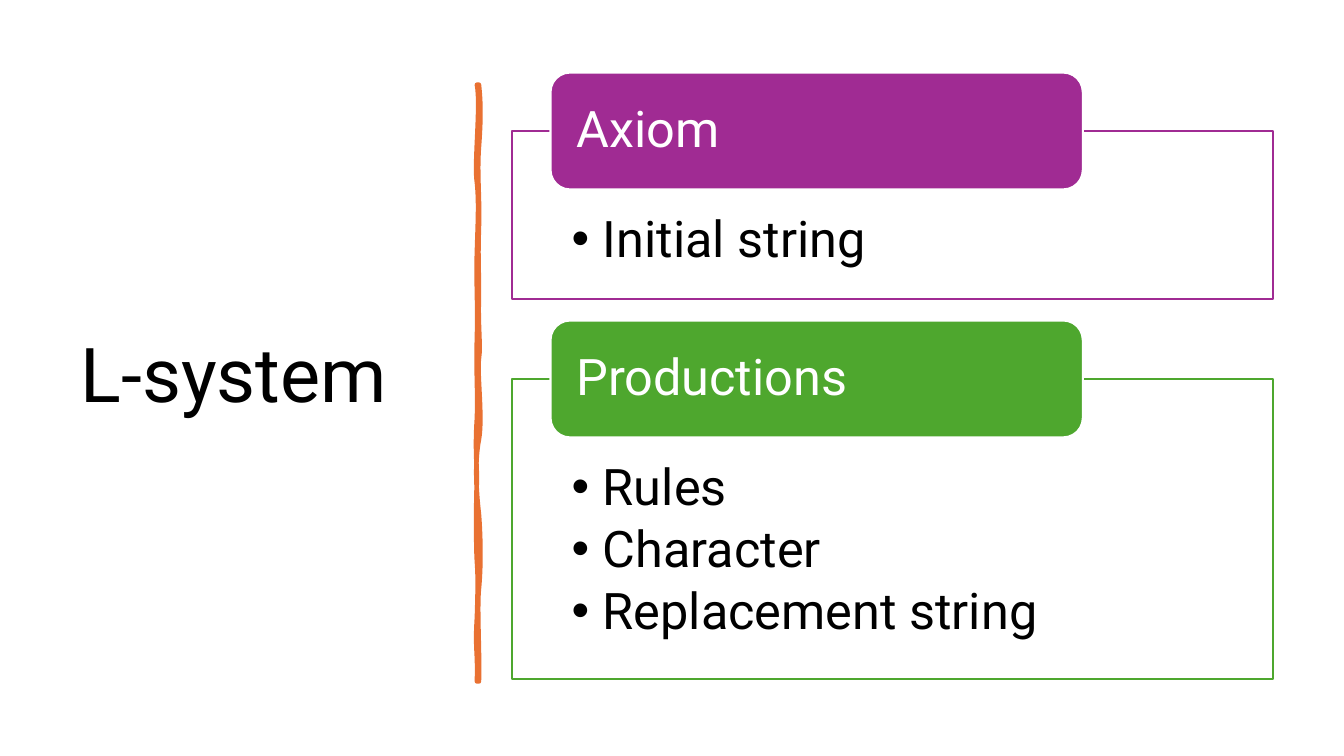
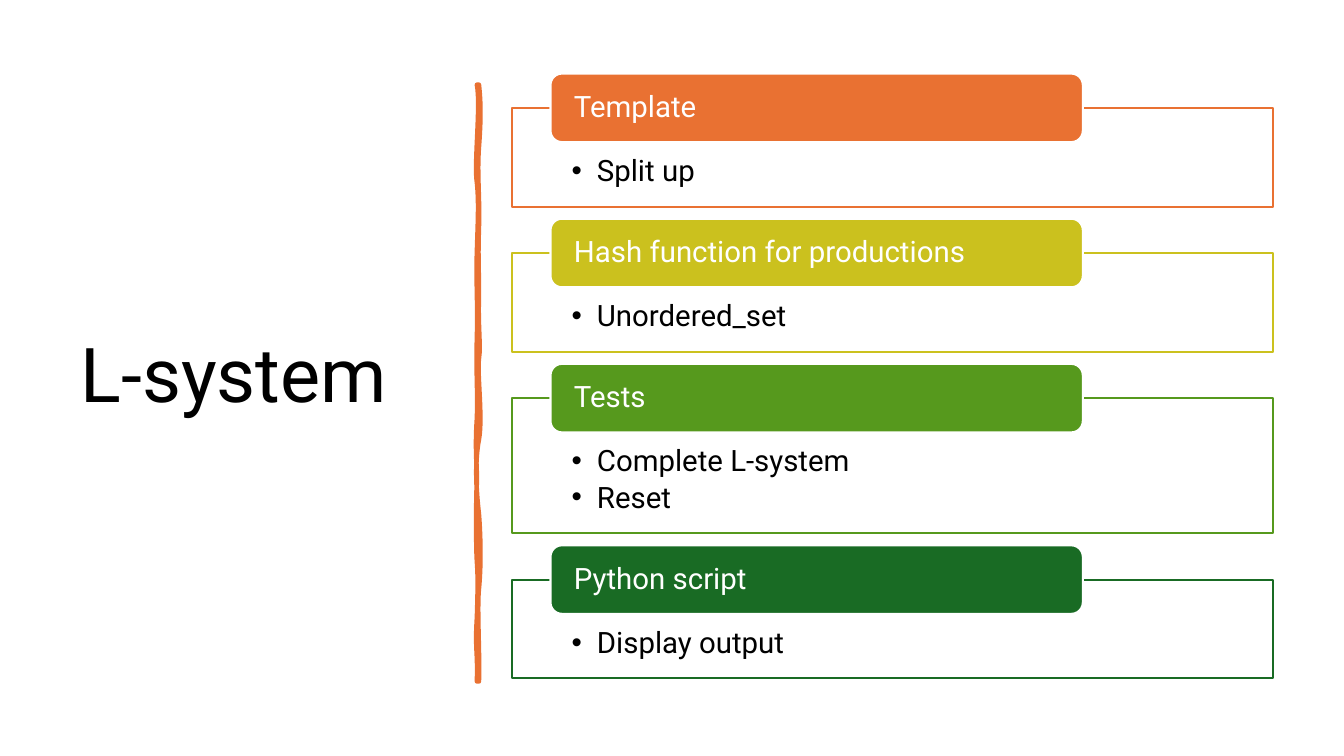
from lxml.etree import SubElement
from pptx import Presentation
from pptx.dml.color import RGBColor
from pptx.enum.shapes import MSO_SHAPE as Shape
from pptx.enum.text import MSO_ANCHOR as Anchor, PP_ALIGN as Align
from pptx.oxml.ns import qn
from pptx.util import Emu, Pt

# Content: each section is (heading, colour, frame height, bullets)
TITLE = "L-system"
SLIDES = [
    dict(size=36, top=72, tab_height=116, gap=21, body_inset=82, indent=31,
         sections=[
             ("Axiom", "A02B93", 167, ["Initial string"]),
             ("Productions", "4EA72E", 298,
              ["Rules", "Character", "Replacement string"]),
         ]),
    dict(size=21, top=73, tab_height=68, gap=12, body_inset=48, indent=25,
         sections=[
             ("Template", "E97132", 98, ["Split up"]),
             ("Hash function for productions", "CBC11E", 98, ["Unordered_set"]),
             ("Tests", "56991D", 134, ["Complete L-system", "Reset"]),
             ("Python script", "196B24", 98, ["Display output"]),
         ]),
]

# Shared style
FONT, BLACK, WHITE, ACCENT = "Roboto", "000000", "FFFFFF", "E97132"
PX = 9144  # 100 px to the inch
TITLE_AREA = (70, 70, 374, 610)
FRAME_LEFT, FRAME_WIDTH = 508, 755
TAB_LEFT, TAB_WIDTH = 546, 528

# Hand-drawn divider: start point, then Bezier curves (two controls, end)
DIVIDER_START = (475, 84)
DIVIDER_STROKE = [
    (477, 102, 477, 119, 475, 146), (473, 173, 476, 195, 475, 226),
    (474, 257, 475, 262, 475, 294), (474, 325, 477, 342, 475, 356),
    (473, 370, 479, 414, 475, 436), (471, 457, 472, 484, 475, 510),
    (477, 536, 477, 564, 475, 584), (473, 603, 476, 650, 475, 676),
    (474, 676, 473, 676, 473, 676), (474, 646, 471, 644, 473, 613),
    (474, 583, 474, 570, 473, 557), (472, 544, 472, 495, 473, 477),
    (473, 459, 471, 445, 473, 415), (474, 386, 472, 373, 473, 335),
    (474, 298, 472, 281, 473, 250), (474, 218, 475, 200, 473, 181),
    (470, 163, 477, 104, 473, 84), (474, 84, 474, 84, 475, 84),
]
DIVIDER_FILL = [
    (475, 115, 472, 125, 475, 152), (477, 179, 474, 197, 475, 208),
    (476, 220, 474, 255, 475, 294), (476, 333, 473, 343, 475, 362),
    (477, 381, 477, 397, 475, 430), (472, 463, 475, 474, 475, 516),
    (475, 557, 474, 553, 475, 578), (476, 603, 474, 647, 475, 676),
    (474, 675, 473, 675, 473, 676), (470, 649, 474, 632, 473, 613),
    (472, 595, 475, 569, 473, 539), (471, 510, 476, 500, 473, 471),
    (470, 442, 477, 420, 473, 386), (469, 351, 474, 325, 473, 300),
    (471, 275, 471, 259, 473, 238), (474, 216, 474, 185, 473, 164),
    (471, 143, 475, 121, 473, 84), (474, 84, 474, 84, 475, 84),
]


def px(*lengths):
    return [Emu(round(length * PX)) for length in lengths]


def color(hex_code):
    return RGBColor.from_string(hex_code)


def paint(shape, fill, line, width=1.5):
    shape.shadow.inherit = False
    shape.fill.solid()
    shape.fill.fore_color.rgb = color(fill)
    shape.line.color.rgb = color(line)
    shape.line.width = Pt(width)


def write(shape, lines, size, ink, insets, anchor=Anchor.MIDDLE):
    frame = shape.text_frame
    frame.word_wrap = True
    frame.vertical_anchor = anchor
    (frame.margin_left, frame.margin_top,
     frame.margin_right, frame.margin_bottom) = px(*insets)
    frame.text = "\n".join(lines)
    for para in frame.paragraphs:
        para.alignment = Align.LEFT
        para.line_spacing = 0.9
        for span in para.runs:
            span.font.name = FONT
            span.font.size = Pt(size)
            span.font.color.rgb = color(ink)
    return frame.paragraphs


def add_bullet(para, indent, size):
    para.space_after = Pt(size * 0.15)
    props = para._p.get_or_add_pPr()
    [margin] = px(indent)
    props.set("marL", str(margin))
    props.set("indent", str(-margin))
    SubElement(props, qn("a:buFont")).set("typeface", "Arial")
    SubElement(props, qn("a:buChar")).set("char", "•")


def add_divider(page):
    # Straight version first, which fixes the place and size
    corners = [curve[-2:] for curve in DIVIDER_STROKE]
    builder = page.shapes.build_freeform(*DIVIDER_START, scale=PX)
    builder.add_line_segments(corners, close=True)
    divider = builder.convert_to_shape()
    paint(divider, ACCENT, ACCENT, 3.25)

    # Then the two curved outlines: one stroked, one filled
    left, top = (min(values) for values in zip(*corners))
    width, height = (max(values) - min(values) for values in zip(*corners))
    [outlines] = divider._element.iter(qn("a:pathLst"))
    outlines.remove(outlines[0])

    def add_step(outline, tag, numbers):
        step = SubElement(outline, qn(tag))
        for x, y in zip(numbers[::2], numbers[1::2]):
            SubElement(step, qn("a:pt"), x=str(x - left), y=str(y - top))

    for curves, hidden in ((DIVIDER_STROKE, {"fill": "none"}),
                           (DIVIDER_FILL, {"stroke": "0"})):
        outline = SubElement(outlines, qn("a:path"),
                             w=str(width), h=str(height), **hidden)
        add_step(outline, "a:moveTo", DIVIDER_START)
        for curve in curves:
            add_step(outline, "a:cubicBezTo", curve)
        SubElement(outline, qn("a:close"))


def add_sections(page, size, top, tab_height, gap, body_inset, indent, sections):
    for heading, tint, height, bullets in sections:
        frame_top = top + tab_height / 2
        frame = page.shapes.add_shape(
            Shape.RECTANGLE, *px(FRAME_LEFT, frame_top, FRAME_WIDTH, height))
        paint(frame, WHITE, tint)
        for para in write(frame, bullets, size, BLACK,
                          (59, body_inset, 59, 0), Anchor.TOP):
            add_bullet(para, indent, size)
        tab = page.shapes.add_shape(
            Shape.ROUNDED_RECTANGLE, *px(TAB_LEFT, top, TAB_WIDTH, tab_height))
        paint(tab, tint, WHITE)
        write(tab, [heading], size, WHITE, (20, 0, 20, 0))
        top = frame_top + height + gap


def main():
    deck = Presentation()
    deck.slide_width, deck.slide_height = px(1333, 750)
    for content in SLIDES:
        page = deck.slides.add_slide(deck.slide_layouts[6])
        box = page.shapes.add_textbox(*px(*TITLE_AREA))
        write(box, [TITLE], 54, BLACK, (10, 5, 10, 5))
        add_divider(page)
        add_sections(page, **content)
    deck.save("out.pptx")


if __name__ == "__main__":
    main()
